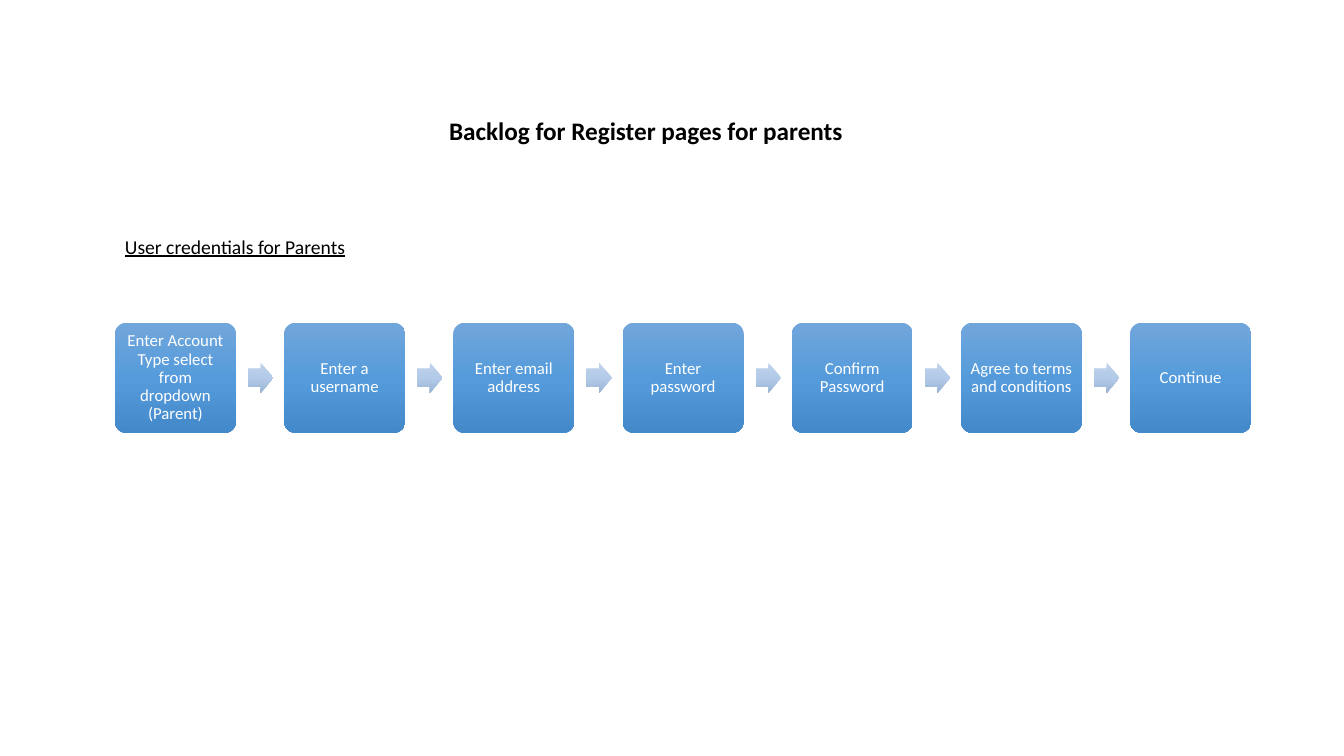
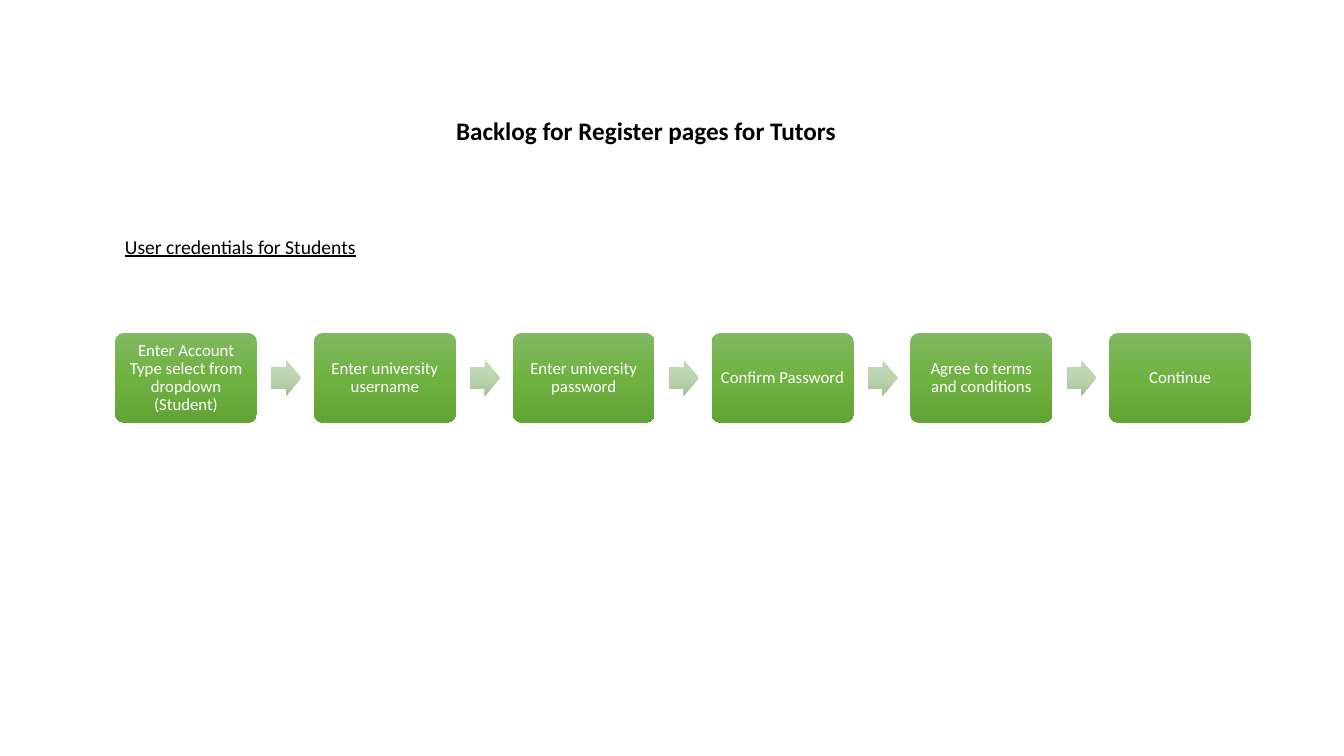
from copy import deepcopy
from dataclasses import dataclass

from pptx import Presentation
from pptx.dml.color import RGBColor
from pptx.enum import shapes, text
from pptx.oxml import ns
from pptx.util import Cm, Pt


@dataclass(frozen=True)
class Theme:
    font: str = "Calibri"
    ink: str = "000000"
    step_ink: str = "FFFFFF"
    title_size: int = 18
    heading_size: int = 14
    step_size: int = 12
    blue_step: tuple = ("71A6DB", "559BDB", "448ACA")
    blue_arrow: tuple = ("C0D2EB", "B3CBE9", "9BB4D3")
    green_step: tuple = ("81B861", "6FB242", "62A336")
    green_arrow: tuple = ("C4D9BB", "BAD5AF", "A5BF99")


THEME = Theme()
TITLE_ONLY = 5
FLOW_LEFT, FLOW_WIDTH, FLOW_MIDDLE = 2.9, 28.63, 9.52
GAP_RATIO = 0.4
ARROW_OFFSET, ARROW_WIDTH, ARROW_HEIGHT = 0.1, 0.21, 0.25

BACKLOGS = (
    {
        "title": "Backlog for Register pages for parents",
        "heading": "User credentials for Parents",
        "steps": (
            "Enter Account Type select from dropdown (Parent)",
            "Enter a username",
            "Enter email address",
            "Enter password",
            "Confirm Password",
            "Agree to terms and conditions",
            "Continue",
        ),
        "step_height": 2.77,
        "step_colors": THEME.blue_step,
        "arrow_colors": THEME.blue_arrow,
    },
    {
        "title": "Backlog for Register pages for Tutors",
        "heading": "User credentials for Students",
        "steps": (
            "Enter Account Type select from dropdown (Student)",
            "Enter university username",
            "Enter university password",
            "Confirm Password",
            "Agree to terms and conditions",
            "Continue",
        ),
        "step_height": 2.26,
        "step_colors": THEME.green_step,
        "arrow_colors": THEME.green_arrow,
    },
)


def write(frame, wording, size, align, color=THEME.ink, bold=False, underline=False):
    frame.word_wrap = True
    paragraph = frame.paragraphs[0]
    paragraph.text = wording
    paragraph.alignment = align
    font = paragraph.font
    font.name = THEME.font
    font.size = Pt(size)
    font.bold = bold
    font.underline = underline
    font.color.rgb = RGBColor.from_string(color)
    return paragraph


def add_title(slide, wording):
    title = slide.shapes.title
    title.left, title.top, title.width, title.height = Cm(9.37), Cm(2.77), Cm(13.82), Cm(1.02)
    frame = title.text_frame
    frame.vertical_anchor = text.MSO_ANCHOR.TOP
    frame.auto_size = text.MSO_AUTO_SIZE.SHAPE_TO_FIT_TEXT
    write(frame, wording, THEME.title_size, text.PP_ALIGN.CENTER, bold=True)


def add_heading(slide, wording):
    heading = slide.shapes.add_textbox(Cm(FLOW_LEFT), Cm(5.79), Cm(13.82), Cm(0.86))
    frame = heading.text_frame
    frame.auto_size = text.MSO_AUTO_SIZE.SHAPE_TO_FIT_TEXT
    write(frame, wording, THEME.heading_size, text.PP_ALIGN.JUSTIFY, underline=True)


def shade(shape, colors):
    fill = shape.fill
    fill.gradient()
    fill.gradient_angle = 270
    stop_list = shape._element.spPr.find(ns.qn("a:gradFill")).find(ns.qn("a:gsLst"))
    stop_list.insert(1, deepcopy(stop_list[0]))
    for index, (stop, color) in enumerate(zip(fill.gradient_stops, colors)):
        stop.position = index / (len(colors) - 1)
        stop.color.rgb = RGBColor.from_string(color)


def add_flow_part(slide, preset, left, width, height, adjustments, colors):
    part = slide.shapes.add_shape(
        preset, Cm(left), Cm(FLOW_MIDDLE - height / 2), Cm(width), Cm(height)
    )
    for index, value in enumerate(adjustments):
        part.adjustments[index] = value
    part.shadow.inherit = False
    part.line.fill.background()
    shade(part, colors)
    return part


def add_step(slide, wording, left, width, height, colors):
    step = add_flow_part(
        slide, shapes.MSO_SHAPE.ROUNDED_RECTANGLE, left, width, height, (0.1,), colors
    )
    frame = step.text_frame
    frame.margin_left = frame.margin_right = Cm(0.13)
    frame.margin_top = frame.margin_bottom = Cm(0.13)
    frame.vertical_anchor = text.MSO_ANCHOR.MIDDLE
    paragraph = write(
        frame, wording, THEME.step_size, text.PP_ALIGN.CENTER, color=THEME.step_ink
    )
    paragraph.line_spacing = 0.9


def add_flow(slide, steps, height, step_colors, arrow_colors):
    count = len(steps)
    width = FLOW_WIDTH / (count + GAP_RATIO * (count - 1))
    for index, wording in enumerate(steps):
        left = FLOW_LEFT + index * width * (1 + GAP_RATIO)
        add_step(slide, wording, left, width, height, step_colors)
        if index < count - 1:
            add_flow_part(
                slide,
                shapes.MSO_SHAPE.RIGHT_ARROW,
                left + width * (1 + ARROW_OFFSET),
                width * ARROW_WIDTH,
                width * ARROW_HEIGHT,
                (0.6, 0.5),
                arrow_colors,
            )


def main():
    deck = Presentation()
    deck.slide_width, deck.slide_height = Cm(33.87), Cm(19.05)
    for backlog in BACKLOGS:
        slide = deck.slides.add_slide(deck.slide_layouts[TITLE_ONLY])
        add_title(slide, backlog["title"])
        add_heading(slide, backlog["heading"])
        add_flow(
            slide,
            backlog["steps"],
            backlog["step_height"],
            backlog["step_colors"],
            backlog["arrow_colors"],
        )
    deck.save("out.pptx")


main()
